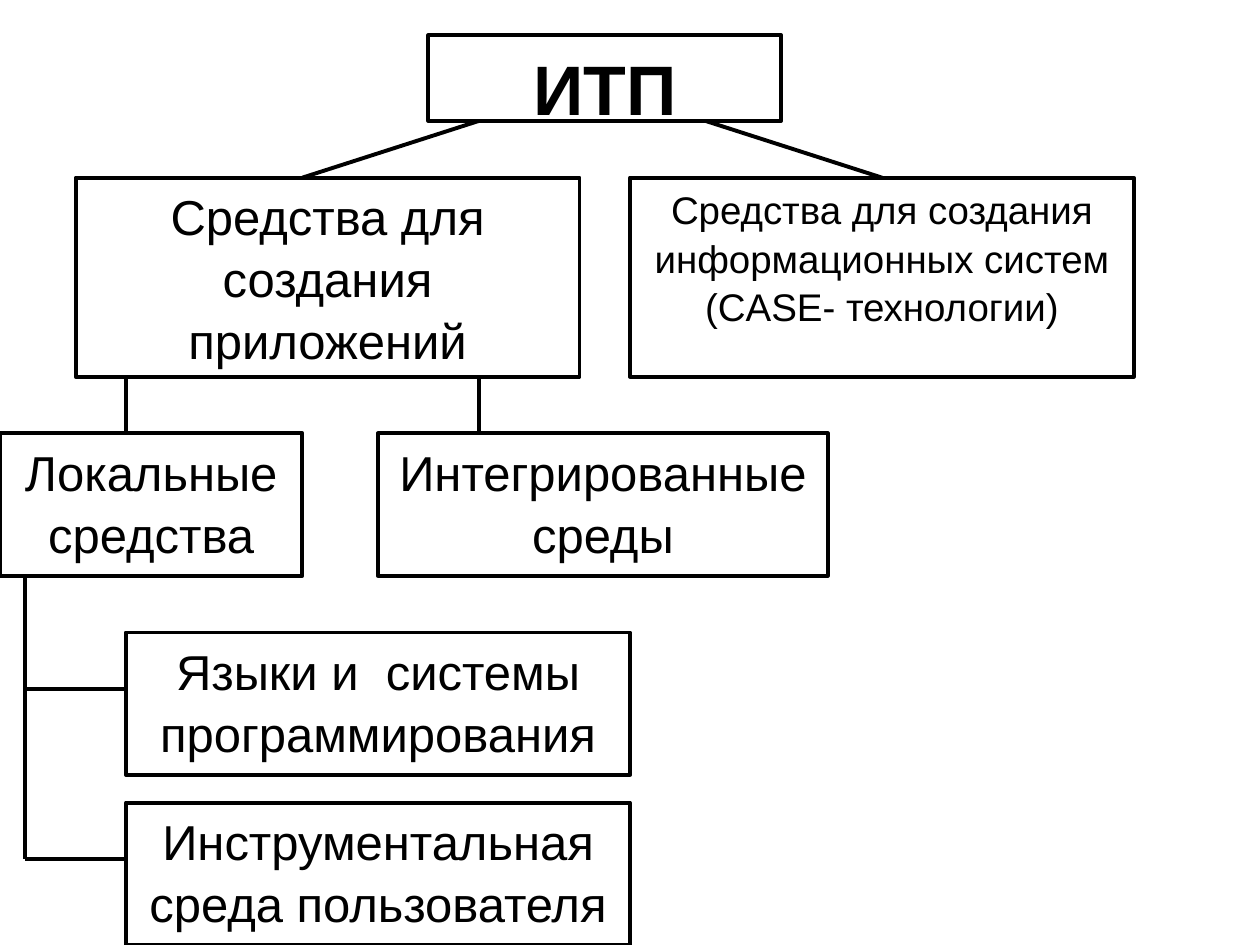
from lxml.etree import SubElement
from pptx import Presentation
from pptx.dml.color import RGBColor
from pptx.enum.shapes import MSO_CONNECTOR, MSO_SHAPE
from pptx.enum.text import MSO_ANCHOR, PP_ALIGN
from pptx.oxml.ns import qn
from pptx.util import Inches, Pt

BLACK = RGBColor(0, 0, 0)
WHITE = RGBColor(255, 255, 255)
LINE_WIDTH = Pt(2.25)
GAP = 0.45
BOX_H = 1.13


def add_box(s, left, top, width, height, text, size=28, bold=False):
    sp = s.shapes.add_shape(MSO_SHAPE.RECTANGLE, Inches(left), Inches(top),
                            Inches(width), Inches(height))
    sp.shadow.inherit = False
    sp.fill.solid()
    sp.fill.fore_color.rgb = WHITE
    sp.line.color.rgb = BLACK
    sp.line.width = LINE_WIDTH
    tf = sp.text_frame
    tf.word_wrap = True
    tf.vertical_anchor = MSO_ANCHOR.TOP
    tf.text = text
    for p in tf.paragraphs:
        p.alignment = PP_ALIGN.CENTER
        p.line_spacing = 1.05
        for r in p.runs:
            r.font.name = "Arial"
            r.font.size = Pt(size)
            r.font.bold = bold
            r.font.color.rgb = BLACK
    return sp


def add_line(s, x1, y1, x2, y2):
    line = s.shapes.add_connector(MSO_CONNECTOR.STRAIGHT, Inches(x1), Inches(y1),
                                  Inches(x2), Inches(y2))
    line.line.color.rgb = BLACK
    line.line.width = LINE_WIDTH
    SubElement(line._element.spPr, qn("a:effectLst"))
    return line


def add_top_levels(s, left, top):
    root_h = 0.68
    row = top + root_h + GAP
    add_box(s, left + 2.8, top, 2.8, root_h, "ИТП", 40, True)
    add_box(s, left, row, 4, 1.58, "Средства для создания приложений")
    case_box = add_box(s, left + 4.4, row, 4, 1.58,
                       "Средства для создания информационных систем\n(CASE- технологии)", 22)
    add_line(s, left + 3.2, top + root_h, left + 1.8, row)
    add_line(s, left + 5, top + root_h, left + 6.4, row).end_connect(case_box, 0)


def add_application_tools(s, left, top):
    add_box(s, left, top, 2.4, BOX_H, "Локальные средства")
    add_box(s, left + 3, top, 3.57, BOX_H, "Интегрированные среды")
    for x in (left + 1, left + 3.8):
        add_line(s, x, top - GAP, x, top)


def add_local_tools(s, left, top):
    trunk = left - 0.8
    step = 1.35
    for i, text in enumerate(("Языки и  системы программирования",
                              "Инструментальная среда пользователя")):
        y = top + i * step
        add_box(s, left, y, 4, BOX_H, text)
        add_line(s, trunk, y + GAP, left, y + GAP)
    add_line(s, trunk, top - GAP, trunk, top + step + GAP)


def main():
    prs = Presentation()
    prs.slide_width = Inches(10)
    prs.slide_height = Inches(7.5)
    s = prs.slides.add_slide(prs.slide_layouts[6])
    add_top_levels(s, 0.6, 0.28)
    add_application_tools(s, 0, 3.44)
    add_local_tools(s, 1, 5.02)
    prs.save("out.pptx")


if __name__ == "__main__":
    main()
